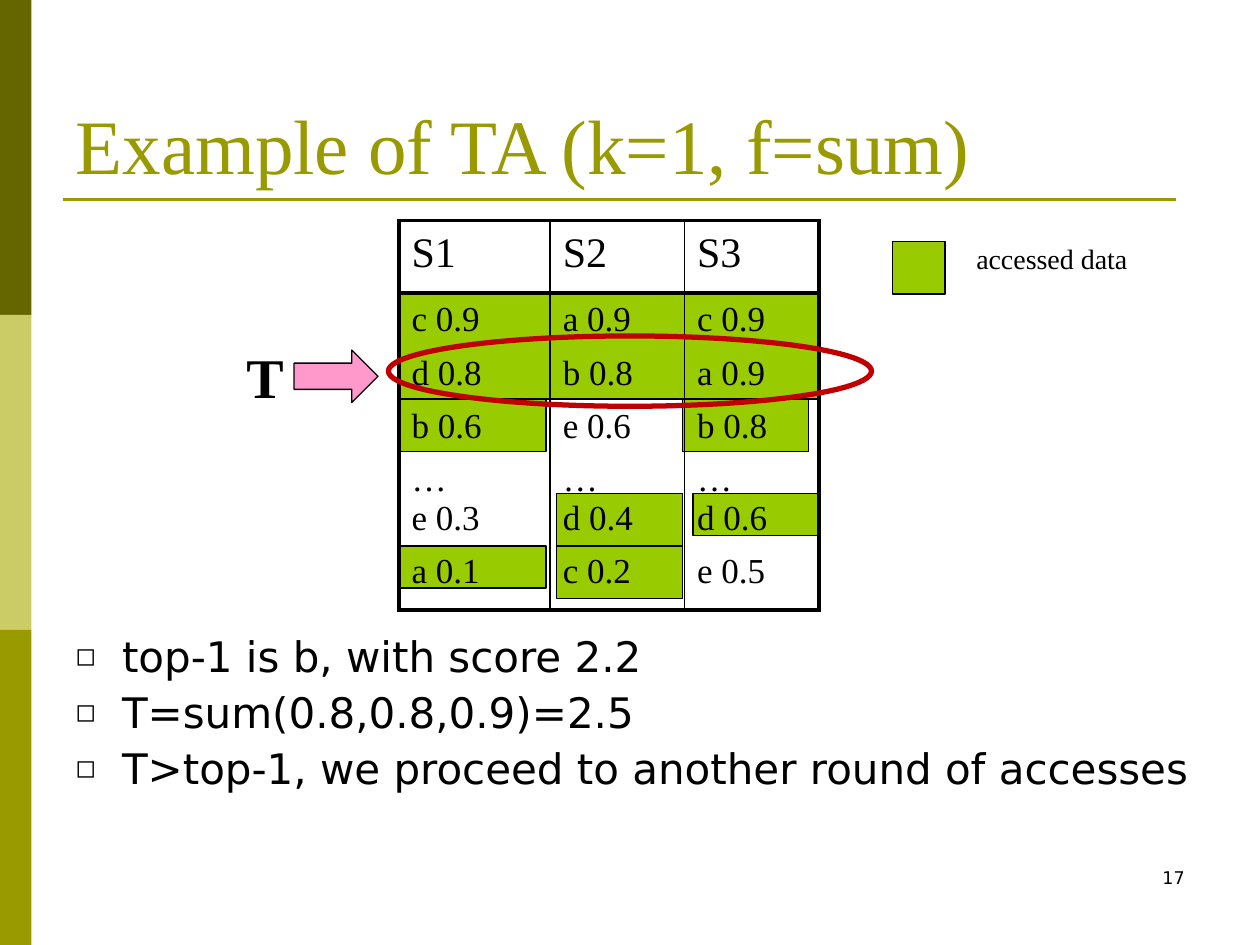
from lxml import etree
from pptx import Presentation
from pptx import util as u
from pptx.dml.color import RGBColor
from pptx.enum import shapes, text
from pptx.oxml import parse_xml
from pptx.oxml.ns import qn

UNIT = u.Inches(10) // 120
SERIF, SANS = "Times New Roman", "DejaVu Sans"
BLACK, OLIVE, GREEN = "000000", "999900", "99CC00"
NO_STYLE = "{2D5ABB26-0587-4C30-8999-92F81FD0307C}"
LISTS = {
    "S1": ["c 0.9", "d 0.8", "b 0.6", "…\ve 0.3", "a 0.1"],
    "S2": ["a 0.9", "b 0.8", "e 0.6", "…\vd 0.4", "c 0.2"],
    "S3": ["c 0.9", "a 0.9", "b 0.8", "…\vd 0.6", "e 0.5"],
}
ACCESSED = [(0, 31, 14, 4), (15, 30, 12, 6), (0, 17, 14, 5), (15, 26, 12, 5),
            (27, 17, 12, 5), (28, 26, 12, 4), (0, 7, 40, 10)]


def color(code):
    return RGBColor.from_string(code)


def grid(*lengths):
    return [round(length * UNIT) for length in lengths]


def add_preset(slide, preset, box, fill=None, line=None, width=0.75):
    shape = slide.shapes.add_shape(preset, *grid(*box))
    shape.shadow.inherit = False
    if fill:
        shape.fill.solid()
        shape.fill.fore_color.rgb = color(fill)
    else:
        shape.fill.background()
    if line:
        shape.line.color.rgb = color(line)
        shape.line.width = u.Pt(width)
    else:
        shape.line.fill.background()
    return shape


def write(frame, lines, size, font=SERIF, ink=BLACK, bold=False, before=0,
          align=text.PP_ALIGN.LEFT):
    for index, line in enumerate(lines):
        paragraph = frame.add_paragraph() if index else frame.paragraphs[0]
        paragraph.alignment = align
        paragraph.space_before = u.Pt(before)
        for part_index, part in enumerate(line.split("\v")):
            if part_index:
                paragraph.add_line_break()
            run = paragraph.add_run()
            run.text = part
            run.font.size = u.Pt(size)
            run.font.name = font
            run.font.bold = bold
            run.font.color.rgb = color(ink)


def add_label(slide, box, lines, size, wrap=True, **style):
    frame = slide.shapes.add_textbox(*grid(*box)).text_frame
    frame.word_wrap = wrap
    write(frame, lines, size, **style)
    return frame


def add_sidebar(slide, left, top, width, height):
    band = height / 3
    for index, fill in enumerate(["666600", "CCCC66", OLIVE]):
        add_preset(slide, shapes.MSO_SHAPE.RECTANGLE,
                   (left, top + index * band, width, band), fill)


def add_heading(slide, left, top, width, height):
    title = slide.shapes.title
    title.left, title.top, title.width, title.height = grid(left, top, width, height)
    frame = title.text_frame
    frame.auto_size = text.MSO_AUTO_SIZE.NONE
    frame.vertical_anchor = text.MSO_ANCHOR.BOTTOM
    write(frame, ["Example of TA (k=1, f=sum)"], 44, ink=OLIVE)
    rule = slide.shapes.add_connector(
        shapes.MSO_CONNECTOR.STRAIGHT,
        *grid(left, top + height + 0.35, left + width - 2, top + height + 0.35))
    rule.line.color.rgb = color(OLIVE)
    rule.line.width = u.Pt(1.75)
    etree.SubElement(rule._element.spPr, qn("a:effectLst"))


def set_borders(cell, widths):
    properties = cell._tc.get_or_add_tcPr()
    for position, (side, width) in enumerate(zip("LRTB", widths)):
        properties.insert(position, parse_xml(
            f'<a:ln{side} xmlns:a="http://schemas.openxmlformats.org/drawingml/2006/main"'
            f' w="{u.Pt(width)}"><a:solidFill><a:srgbClr val="{BLACK}"/></a:solidFill>'
            f'</a:ln{side}>'))


def add_score_lists(slide, left, top, width, height):
    for x, y, wide, high in ACCESSED:
        add_preset(slide, shapes.MSO_SHAPE.RECTANGLE,
                   (left + x, top + y, wide, high), GREEN, BLACK)
    table = slide.shapes.add_table(2, len(LISTS), *grid(left, top, width, height)).table
    table._tbl.tblPr.find(qn("a:tableStyleId")).text = NO_STYLE
    table.first_row = table.horz_banding = False
    for column, share in zip(table.columns, (0.36, 0.32, 0.32)):
        column.width = round(share * width * UNIT)
    for row, share in zip(table.rows, (0.19, 0.81)):
        row.height = round(share * height * UNIT)
    for index, (name, scores) in enumerate(LISTS.items()):
        sides = [2.25 if index == 0 else 1, 2.25 if index == 2 else 1]
        for row, (lines, size, gap, inset, ends) in enumerate(
                [([name], 24, 0, 0.08, [2.25, 1]), (scores, 20, 8.2, 0.07, [1, 2.25])]):
            cell = table.cell(row, index)
            cell.fill.background()
            cell.margin_top, cell.margin_bottom = u.Inches(inset), 0
            write(cell.text_frame, lines, size, before=gap)
            set_borders(cell, sides + ends)


def add_legend(slide, left, top, side):
    add_preset(slide, shapes.MSO_SHAPE.RECTANGLE, (left, top, side, side), GREEN, BLACK)
    add_label(slide, (left + 6.8, top - 0.6, 23.5, 4.8), ["accessed data"], 16, wrap=False)


def add_threshold(slide, left, top, width, height):
    add_preset(slide, shapes.MSO_SHAPE.RIGHT_ARROW,
               (left + 0.094 * width, top + 0.2 * height, 8, 5), "FF99CC", BLACK)
    add_label(slide, (left, top, 6, 7.7), ["T"], 32, wrap=False, bold=True)
    add_preset(slide, shapes.MSO_SHAPE.OVAL,
               (left + 0.242 * width, top, 0.758 * width, height), line="C00000", width=3)


def add_findings(slide, left, top, width, height):
    frame = add_label(slide, (left, top, width, height),
                      ["top-1 is b, with score 2.2", "T=sum(0.8,0.8,0.9)=2.5",
                       "T>top-1, we proceed to another round of accesses"],
                      24, font=SANS, before=6)
    for paragraph in frame.paragraphs:
        paragraph.line_spacing = 0.9
        properties = paragraph._p.get_or_add_pPr()
        properties.set("marL", str(u.Inches(0.37)))
        properties.set("indent", str(-u.Inches(0.37)))
        etree.SubElement(properties, qn("a:buSzPct"), val="60000")
        etree.SubElement(properties, qn("a:buFont"), typeface=SANS)
        etree.SubElement(properties, qn("a:buChar"), char="◻")


def main():
    deck = Presentation()
    deck.slide_width, deck.slide_height = grid(120, 90)
    slide = deck.slides.add_slide(deck.slide_layouts[5])
    add_sidebar(slide, 0, 0, 3, 90)
    add_heading(slide, 6, -0.2, 108, 18.85)
    add_findings(slide, 6, 60, 110, 28.2)
    add_legend(slide, 85, 23, 5)
    add_score_lists(slide, 38, 21, 40, 35.75)
    add_label(slide, (86, 82, 28, 6), ["17"], 10, font=SANS, align=text.PP_ALIGN.RIGHT)
    add_threshold(slide, 22.3, 32, 60.7, 6.7)
    deck.save("out.pptx")


if __name__ == "__main__":
    main()
